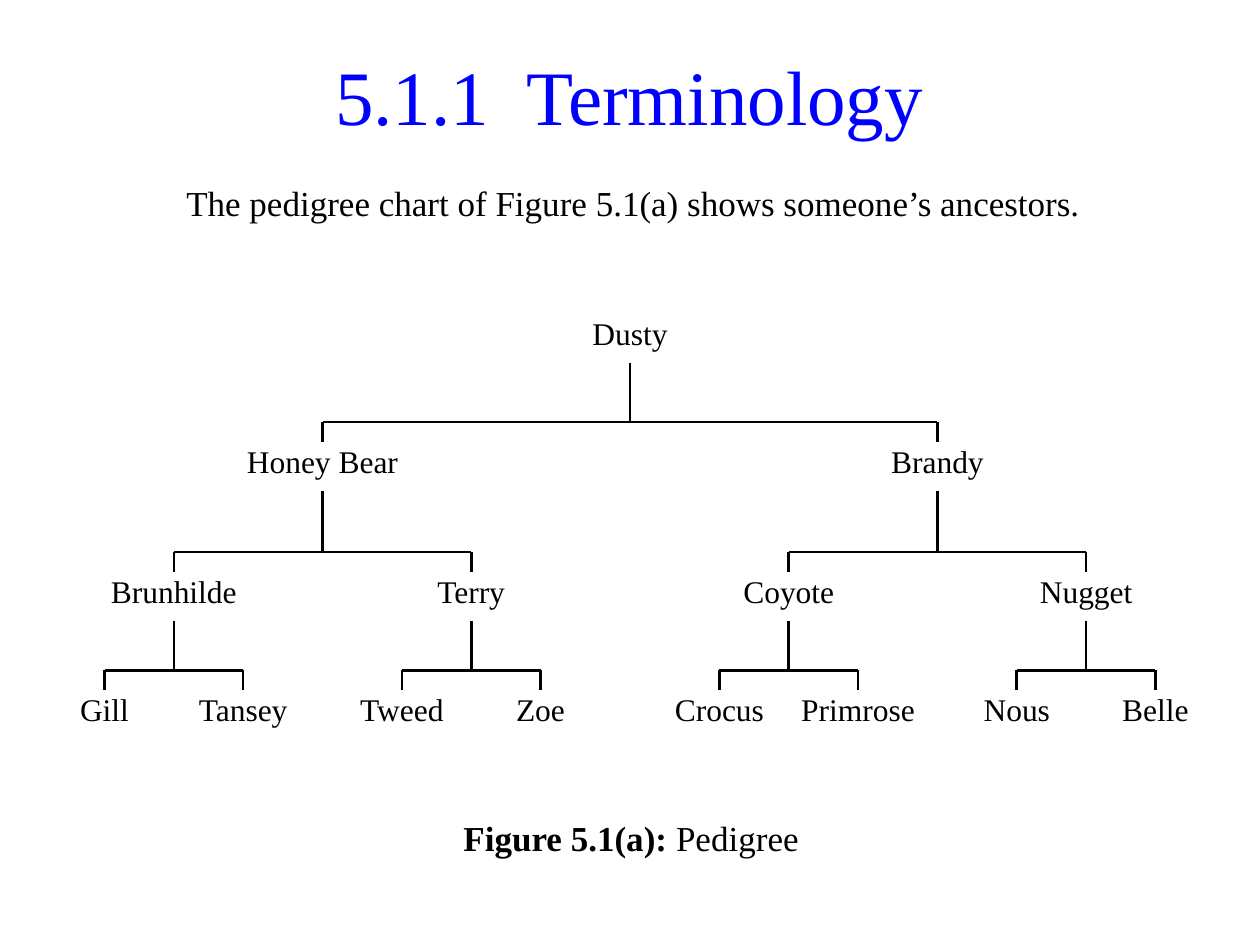
from dataclasses import dataclass

import pptx
import pptx.dml.color
import pptx.enum.shapes
import pptx.enum.text
import pptx.oxml.ns
import pptx.util
from lxml import etree
from pptx.util import Inches

COLORS = {"title": "0000FF", "ink": "000000"}
FONT = "Times New Roman"
ALIGN = pptx.enum.text.PP_ALIGN
ANCHOR = pptx.enum.text.MSO_ANCHOR

# Tree geometry in inches, by generation
NAME_TOPS = (2.49, 3.51, 4.54, 5.48)
HALF_SPANS = (2.44, 1.18, 0.55)
NAME_HEIGHT = 0.31
STEM_OFFSET = 0.39
DROP = 0.16


@dataclass(frozen=True)
class Dog:
    name: str
    width: float
    parents: tuple["Dog", ...] = ()


@dataclass(frozen=True)
class TextStyle:
    size: int
    color: str = "ink"
    align: ALIGN = ALIGN.LEFT
    anchor: ANCHOR = ANCHOR.TOP
    wrap: bool = True
    insets: tuple[float, float, float, float] = (0.1, 0.05, 0.1, 0.05)
    space_before: int = 0


TITLE = TextStyle(44, "title", ALIGN.CENTER, ANCHOR.MIDDLE)
INTRO = TextStyle(20, insets=(0.1, 0.05, 0.04, 0.05), space_before=4)
CAPTION = TextStyle(20, space_before=4)
NAME = TextStyle(18, align=ALIGN.CENTER, wrap=False, insets=(0, 0, 0, 0))

PEDIGREE = Dog("Dusty", 2.2, (
    Dog("Honey Bear", 1.26, (
        Dog("Brunhilde", 1.1, (Dog("Gill", 0.47), Dog("Tansey", 0.79))),
        Dog("Terry", 0.63, (Dog("Tweed", 0.79), Dog("Zoe", 0.47))),
    )),
    Dog("Brandy", 0.79, (
        Dog("Coyote", 0.79, (Dog("Crocus", 0.79), Dog("Primrose", 0.95))),
        Dog("Nugget", 0.79, (Dog("Nous", 0.63), Dog("Belle", 0.79))),
    )),
))


def add_text(slide, left: float, top: float, width: float, height: float,
             text: str, style: TextStyle, bold_lead: str = ""):
    box = slide.shapes.add_textbox(Inches(left), Inches(top), Inches(width), Inches(height))
    frame = box.text_frame
    frame.auto_size = pptx.enum.text.MSO_AUTO_SIZE.NONE
    frame.word_wrap = style.wrap
    frame.vertical_anchor = style.anchor
    (frame.margin_left, frame.margin_top,
     frame.margin_right, frame.margin_bottom) = map(Inches, style.insets)
    paragraph = frame.paragraphs[0]
    paragraph.alignment = style.align
    paragraph.space_before = pptx.util.Pt(style.space_before)
    paragraph.font.name = FONT
    paragraph.font.size = pptx.util.Pt(style.size)
    paragraph.font.color.rgb = pptx.dml.color.RGBColor.from_string(COLORS[style.color])
    if bold_lead:
        lead = paragraph.add_run()
        lead.text = bold_lead
        lead.font.bold = True
    paragraph.add_run().text = text
    return box


def add_line(slide, x1: float, y1: float, x2: float, y2: float):
    line = slide.shapes.add_connector(
        pptx.enum.shapes.MSO_CONNECTOR.STRAIGHT,
        Inches(x1), Inches(y1), Inches(x2), Inches(y2))
    line.line.color.rgb = pptx.dml.color.RGBColor.from_string(COLORS["ink"])
    line.line.width = pptx.util.Pt(1.5)
    etree.SubElement(line._element.spPr, pptx.oxml.ns.qn("a:effectLst"))
    return line


def add_family(slide, dog: Dog, center: float, generation: int = 0):
    """Draw a dog's name and, below it, the branches to its parents."""
    top = NAME_TOPS[generation]
    name_box = add_text(slide, center - dog.width / 2, top, dog.width, NAME_HEIGHT,
                        dog.name, NAME)
    if dog.parents:
        half = HALF_SPANS[generation]
        parent_top = NAME_TOPS[generation + 1]
        bar = parent_top - DROP
        add_line(slide, center, top + STEM_OFFSET, center, bar)
        add_line(slide, center - half, bar, center + half, bar)
        for parent, x in zip(dog.parents, (center - half, center + half)):
            parent_box = add_family(slide, parent, x, generation + 1)
            drop = add_line(slide, x, bar, x, parent_top)
            drop.end_connect(parent_box, 0)
    return name_box


def main():
    deck = pptx.Presentation()
    deck.slide_width, deck.slide_height = Inches(10), Inches(7.5)
    slide = deck.slides.add_slide(deck.slide_layouts[6])

    # Heading and introduction
    add_text(slide, 0.27, 0.28, 9.45, 0.94, "5.1.1  Terminology", TITLE)
    add_text(slide, 1.38, 1.39, 7.25, 0.47,
             "The pedigree chart of Figure 5.1(a) shows someone’s ancestors.", INTRO)

    # Pedigree tree
    add_family(slide, PEDIGREE, 5)

    # Figure caption
    add_text(slide, 3.58, 6.43, 2.87, 0.47, " Pedigree", CAPTION, bold_lead="Figure 5.1(a):")

    deck.save("out.pptx")


if __name__ == "__main__":
    main()
